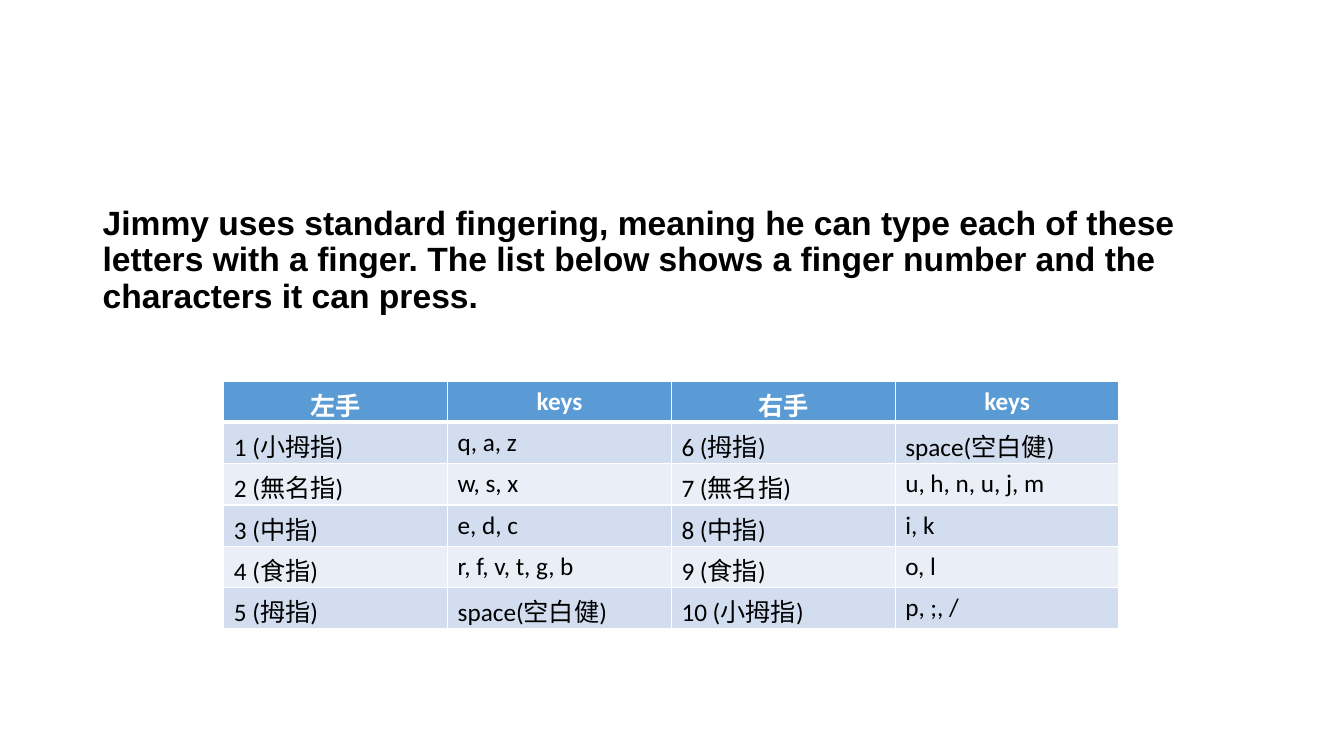
from lxml.etree import SubElement
from pptx import Presentation
from pptx.dml.color import RGBColor
from pptx.enum.text import PP_ALIGN
from pptx.oxml.ns import qn
from pptx.util import Inches, Pt

INTRO = ("Jimmy uses standard fingering, meaning he can type each of these "
         "letters with a finger. The list below shows a finger number and the "
         "characters it can press.")
FINGERING = [
    ("左手", "keys", "右手", "keys"),
    ("1 (小拇指)", "q, a, z", "6 (拇指)", "space(空白健)"),
    ("2 (無名指)", "w, s, x", "7 (無名指)", "u, h, n, u, j, m"),
    ("3 (中指)", "e, d, c", "8 (中指)", "i, k"),
    ("4 (食指)", "r, f, v, t, g, b", "9 (食指)", "o, l"),
    ("5 (拇指)", "space(空白健)", "10 (小拇指)", "p, ;, /"),
]
HEADER_FILL, BANDS = "5B9BD5", ("EAEFF7", "D2DEEF")
BLACK, WHITE = "000000", "FFFFFF"


def rgb(hex_color):
    """Turn a hex string into a colour."""
    return RGBColor.from_string(hex_color)


def add_run(p, text, font, size, color, bold=False):
    """Add one formatted run to a paragraph."""
    r = p.add_run()
    r.text = text
    r.font.name = font
    r.font.size = Pt(size)
    r.font.bold = bold
    r.font.color.rgb = rgb(color)


def add_intro(s, text):
    """Add the bold introductory paragraph."""
    tb = s.shapes.add_textbox(Inches(0.92), Inches(2), Inches(11.5), Inches(4.76))
    tf = tb.text_frame
    tf.word_wrap = True
    p = tf.paragraphs[0]
    p.line_spacing = 0.9
    p.space_before = Pt(10)
    add_run(p, text, "Arial", 24, BLACK, bold=True)


def set_borders(cell, bottom):
    """Give a cell white 1 pt borders and a bottom border of its own width."""
    tc_pr = cell._tc.get_or_add_tcPr()
    for side, width in (("L", 1), ("R", 1), ("T", 1), ("B", bottom)):
        ln = SubElement(tc_pr, qn(f"a:ln{side}"), w=str(Pt(width)))
        fill = SubElement(ln, qn("a:solidFill"))
        SubElement(fill, qn("a:srgbClr"), val=WHITE)


def fill_cell(cell, text, row):
    """Write and colour a cell according to its row."""
    header = row == 0
    set_borders(cell, bottom=3 if header else 1)
    if row == 1:
        top = cell._tc.tcPr.find(qn("a:lnT"))
        top.set("w", str(Pt(3)))
    cell.fill.solid()
    cell.fill.fore_color.rgb = rgb(HEADER_FILL if header else BANDS[row % 2])
    p = cell.text_frame.paragraphs[0]
    if header:
        p.alignment = PP_ALIGN.CENTER
    add_run(p, text, "Calibri", 18, WHITE if header else BLACK, bold=header)


def add_fingering_table(s, rows):
    """Add the table of fingers and keys."""
    col_width, row_height = Inches(2.22), Inches(0.41)
    n_rows, n_cols = len(rows), len(rows[0])
    table = s.shapes.add_table(n_rows, n_cols, Inches(2.22), Inches(3.78),
                               col_width * n_cols, row_height * n_rows).table
    for i, values in enumerate(rows):
        for j, text in enumerate(values):
            fill_cell(table.cell(i, j), text, i)


def main():
    """Build and save the slide."""
    prs = Presentation()
    prs.slide_width, prs.slide_height = Inches(13.33), Inches(7.5)
    s = prs.slides.add_slide(prs.slide_layouts[6])
    add_intro(s, INTRO)
    add_fingering_table(s, FINGERING)
    prs.save("out.pptx")


main()
